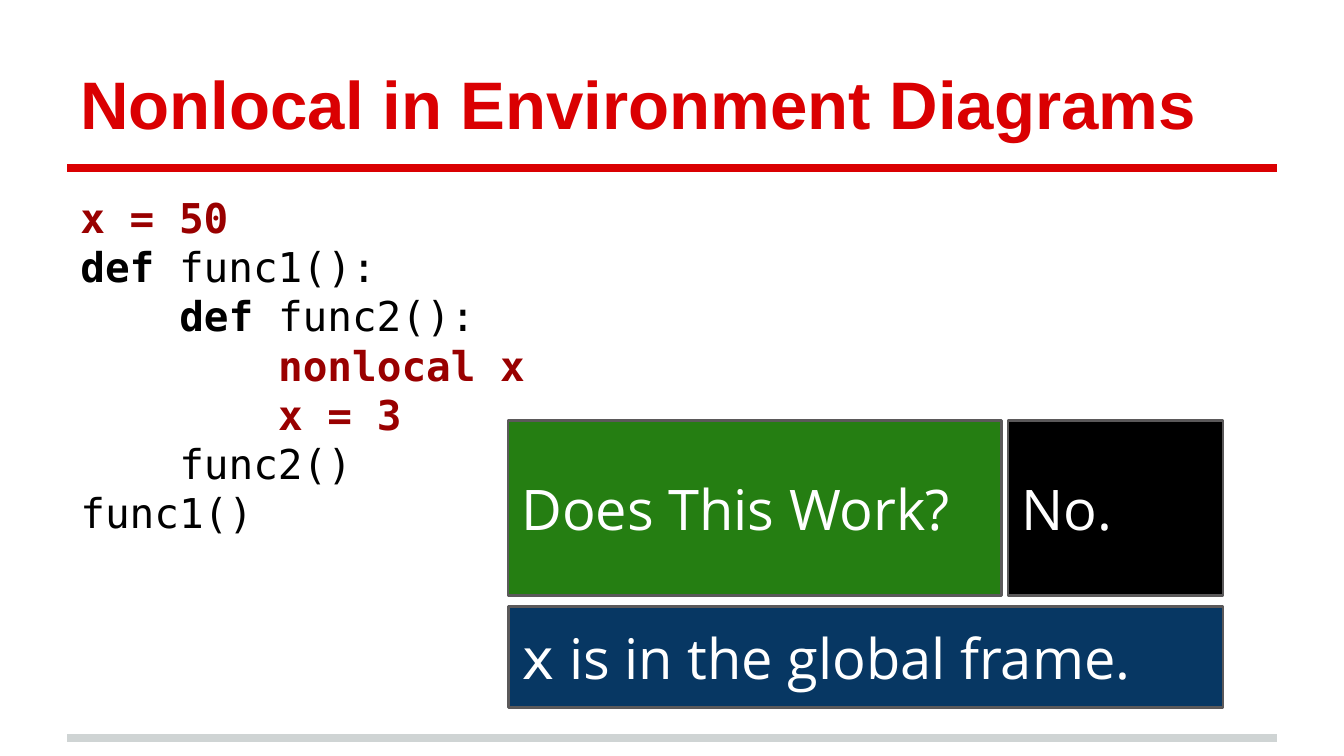
from dataclasses import dataclass

from lxml.etree import SubElement
from pptx import Presentation
from pptx.dml.color import RGBColor
from pptx.enum.shapes import MSO_CONNECTOR, MSO_SHAPE
from pptx.enum.text import MSO_ANCHOR, PP_ALIGN
from pptx.oxml.ns import qn
from pptx.slide import Slide
from pptx.text.text import TextFrame
from pptx.util import Pt

COLORS = {
    "red": "DA0002",
    "gray": "CFD4D4",
    "emphasis": "990000",
    "black": "000000",
    "white": "FFFFFF",
    "green": "257E12",
    "navy": "073763",
    "border": "5B595A",
}
SANS, MONO, LABEL = "Arial", "DejaVu Sans Mono", "Open Sans"
TITLE_SIZE, CODE_SIZE, LABEL_SIZE = 36, 22, 30
MARGIN, CONTENT_WIDTH = 36, 648
INSET = 7.2
CODE_LEADING = 26.4
INDENT_STEP = 53


@dataclass(frozen=True)
class Span:
    text: str
    color: str = "black"
    bold: bool = False
    font: str = MONO
    size: float = CODE_SIZE


@dataclass(frozen=True)
class Line:
    spans: tuple[Span, ...]
    level: int = 0


@dataclass(frozen=True)
class Box:
    left: float
    top: float
    width: float
    height: float


@dataclass(frozen=True)
class Card:
    box: Box
    fill: str
    spans: tuple[Span, ...]


def rgb(name: str) -> RGBColor:
    return RGBColor.from_string(COLORS[name])


def label(text: str, font: str = LABEL) -> Span:
    return Span(text, "white", font=font, size=LABEL_SIZE)


def write_lines(frame: TextFrame, lines: tuple[Line, ...], anchor: MSO_ANCHOR,
                leading: float | None = None) -> None:
    frame.word_wrap = True
    frame.vertical_anchor = anchor
    frame.margin_left = frame.margin_right = Pt(INSET)
    frame.margin_top = frame.margin_bottom = Pt(INSET)
    frame.text = "\n".join(line.spans[0].text for line in lines)
    for paragraph, line in zip(frame.paragraphs, lines):
        paragraph.alignment = PP_ALIGN.LEFT
        if leading:
            paragraph.line_spacing = Pt(leading)
        if line.level:
            properties = paragraph._p.get_or_add_pPr()
            properties.set("marL", str(Pt(INDENT_STEP * line.level)))
            properties.set("indent", "0")
        for span in line.spans[1:]:
            paragraph.add_run().text = span.text
        for run, span in zip(paragraph.runs, line.spans):
            run.font.name = span.font
            run.font.size = Pt(span.size)
            run.font.bold = span.bold
            run.font.color.rgb = rgb(span.color)


def draw_rule(slide: Slide, y: float, color: str) -> None:
    rule = slide.shapes.add_connector(
        MSO_CONNECTOR.STRAIGHT,
        Pt(MARGIN), Pt(y), Pt(MARGIN + CONTENT_WIDTH), Pt(y))
    rule.line.color.rgb = rgb(color)
    rule.line.width = Pt(4)
    SubElement(rule._element.spPr, qn("a:effectLst"))


def draw_text(slide: Slide, box: Box, lines: tuple[Line, ...], anchor: MSO_ANCHOR,
              leading: float | None = None) -> None:
    area = slide.shapes.add_textbox(
        Pt(box.left), Pt(box.top), Pt(box.width), Pt(box.height))
    write_lines(area.text_frame, lines, anchor, leading)


def draw_card(slide: Slide, card: Card) -> None:
    box = card.box
    panel = slide.shapes.add_shape(
        MSO_SHAPE.RECTANGLE,
        Pt(box.left), Pt(box.top), Pt(box.width), Pt(box.height))
    panel.shadow.inherit = False
    panel.fill.solid()
    panel.fill.fore_color.rgb = rgb(card.fill)
    panel.line.color.rgb = rgb("border")
    panel.line.width = Pt(1.5)
    write_lines(panel.text_frame, (Line(card.spans),), MSO_ANCHOR.MIDDLE)


TITLE = (Line((Span("Nonlocal in Environment Diagrams", "red", True, SANS, TITLE_SIZE),)),)
DEF = Span("def ", bold=True)
CODE = (
    Line((Span("x = 50", "emphasis", True),)),
    Line((DEF, Span("func1():"))),
    Line((DEF, Span("func2():")), 1),
    Line((Span("nonlocal x", "emphasis", True),), 2),
    Line((Span("x = 3", "emphasis", True),), 2),
    Line((Span("func2()"),), 1),
    Line((Span("func1()"),)),
)
CARDS = (
    Card(Box(272.2, 225.4, 264.2, 93.6), "green", (label("Does This Work?"),)),
    Card(Box(540, 225.4, 115.2, 93.6), "black", (label("No."),)),
    Card(Box(272.2, 324.9, 383, 54), "navy",
         (label("x", MONO), label(" is in the global frame."))),
)


def main() -> None:
    presentation = Presentation()
    presentation.slide_width = Pt(720)
    presentation.slide_height = Pt(405)
    slide = presentation.slides.add_slide(presentation.slide_layouts[6])

    draw_rule(slide, 395.5, "gray")
    draw_rule(slide, 90, "red")
    draw_text(slide, Box(MARGIN, 16.5, CONTENT_WIDTH, 67.5), TITLE, MSO_ANCHOR.BOTTOM)
    draw_text(slide, Box(MARGIN, 95.8, CONTENT_WIDTH, 293), CODE, MSO_ANCHOR.TOP, CODE_LEADING)
    for card in CARDS:
        draw_card(slide, card)

    presentation.save("out.pptx")


if __name__ == "__main__":
    main()
